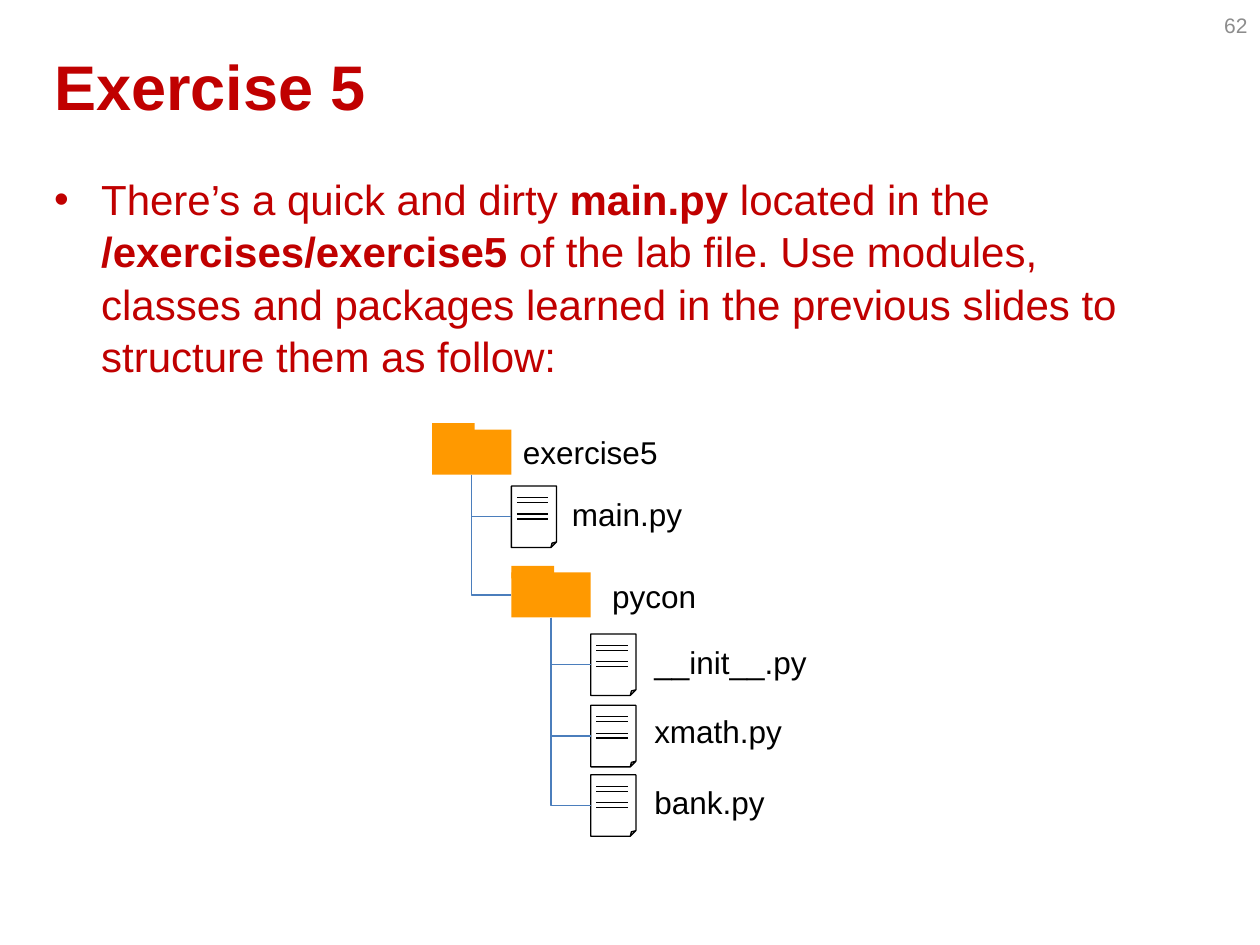
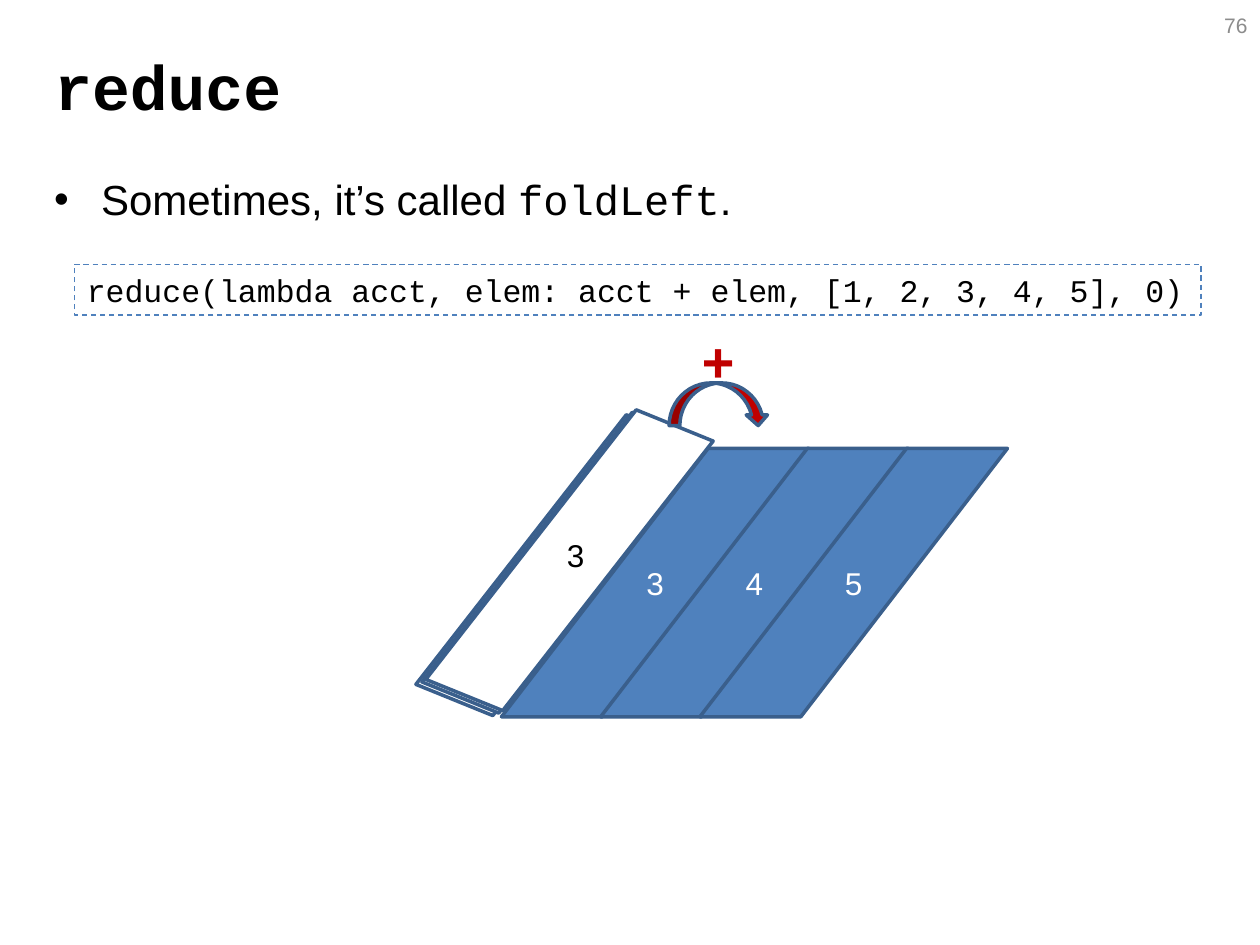
from dataclasses import dataclass
from typing import Optional

from lxml.etree import SubElement
from pptx import Presentation
from pptx.dml.color import RGBColor
from pptx.enum.dml import MSO_LINE_DASH_STYLE as Dash
from pptx.enum.shapes import MSO_CONNECTOR as Connector, MSO_SHAPE as Shape
from pptx.enum.text import MSO_ANCHOR as Anchor, PP_ALIGN as Align
from pptx.oxml.ns import qn
from pptx.util import Cm, Pt

RED = RGBColor(0xC0, 0x00, 0x00)
BLACK = RGBColor(0x00, 0x00, 0x00)
WHITE = RGBColor(0xFF, 0xFF, 0xFF)
GRAY = RGBColor(0x8C, 0x8C, 0x8C)
ORANGE = RGBColor(0xFF, 0x99, 0x00)
BLUE = RGBColor(0x4F, 0x81, 0xBD)
DARK_BLUE = RGBColor(0x3A, 0x5F, 0x8C)
TREE_BLUE = RGBColor(0x4B, 0x7E, 0xBC)
SANS = "Arial"
MONO = "Courier New"

FOLDER_WIDTH, FOLDER_HEIGHT, TAB_RISE = 1.6, 1.04, 0.13
FILE_WIDTH, FILE_HEIGHT = 0.91, 1.24
FILE_RULES = (0.23, 0.33, 0.56, 0.66)


@dataclass(frozen=True)
class Span:
    text: str
    font: str = SANS
    bold: bool = False


@dataclass(frozen=True)
class Entry:
    name: str
    left: float
    top: float
    label_left: float
    label_top: float
    parent: Optional["Entry"] = None
    is_folder: bool = False

    @property
    def middle(self) -> float:
        if self.is_folder:
            return self.top + (FOLDER_HEIGHT + TAB_RISE) / 2
        return self.top + FILE_HEIGHT / 2


@dataclass(frozen=True)
class TiltedCard:
    left: float
    top: float


EXERCISE = Entry("exercise5", 8.71, 8.53, 10.29, 8.61, is_folder=True)
PYCON = Entry("pycon", 10.31, 11.41, 12.09, 11.51, EXERCISE, True)
ENTRIES = (
    EXERCISE,
    Entry("main.py", 10.31, 9.8, 11.28, 9.86, EXERCISE),
    PYCON,
    Entry("__init__.py", 11.91, 12.78, 12.94, 12.83, PYCON),
    Entry("xmath.py", 11.91, 14.22, 12.94, 14.22, PYCON),
    Entry("bank.py", 11.91, 15.62, 12.94, 15.67, PYCON),
)
CARDS_BELOW = (TiltedCard(9.5, 8.08), TiltedCard(9.62, 8.03))
TOP_CARD = TiltedCard(9.7, 7.98)


def write_text(frame, *spans: Span, size=18, color=BLACK, align=Align.LEFT, anchor=Anchor.TOP):
    frame.word_wrap = True
    frame.vertical_anchor = anchor
    paragraph = frame.paragraphs[0]
    paragraph.alignment = align
    for span in spans:
        run = paragraph.add_run()
        run.text = span.text
        run.font.name = span.font
        run.font.bold = span.bold
        run.font.size = Pt(size)
        run.font.color.rgb = color
    return paragraph


def add_text(slide, left: float, top: float, width: float, height: float, *spans: Span, **style):
    box = slide.shapes.add_textbox(Cm(left), Cm(top), Cm(width), Cm(height))
    return write_text(box.text_frame, *spans, **style)


def add_bullet(slide, *spans: Span, color=BLACK) -> None:
    paragraph = add_text(slide, 0.84, 3.33, 22.86, 12.57, *spans, size=24, color=color)
    properties = paragraph._p.get_or_add_pPr()
    properties.set("marL", str(Cm(0.95)))
    properties.set("indent", str(-Cm(0.95)))
    SubElement(properties, qn("a:buFont")).set("typeface", SANS)
    SubElement(properties, qn("a:buChar")).set("char", "•")
    paragraph.line_spacing = 1.04


def set_adjustment(shape, value: float) -> None:
    adjustments = shape._element.spPr.find(qn("a:prstGeom")).find(qn("a:avLst"))
    for guide in list(adjustments):
        adjustments.remove(guide)
    guide = SubElement(adjustments, qn("a:gd"))
    guide.set("name", "adj")
    guide.set("fmla", f"val {round(value * 100000)}")


def add_shape(slide, kind, left: float, top: float, width: float, height: float,
              fill=None, line=None, weight=0.75, adjustment=None, rotation=0.0):
    shape = slide.shapes.add_shape(kind, Cm(left), Cm(top), Cm(width), Cm(height))
    shape.shadow.inherit = False
    shape.rotation = rotation
    if adjustment is not None:
        set_adjustment(shape, adjustment)
    if fill is None:
        shape.fill.background()
    else:
        shape.fill.solid()
        shape.fill.fore_color.rgb = fill
    if line is None:
        shape.line.fill.background()
    else:
        shape.line.color.rgb = line
        shape.line.width = Pt(weight)
    return shape


def add_line(slide, kind, left: float, top: float, right: float, bottom: float, color):
    connector = slide.shapes.add_connector(kind, Cm(left), Cm(top), Cm(right), Cm(bottom))
    connector.line.color.rgb = color
    connector.line.width = Pt(0.75)
    SubElement(connector._element.spPr, qn("a:effectLst"))
    return connector


def add_branch(slide, parent: Entry, child: Entry) -> None:
    start_x, start_y = parent.left + FOLDER_WIDTH / 2, parent.top + FOLDER_HEIGHT
    drop, run = child.middle - start_y, child.left - start_x
    center_x, center_y = start_x + run / 2, start_y + drop / 2
    connector = add_line(slide, Connector.ELBOW, center_x - drop / 2, center_y - run / 2,
                         center_x + drop / 2, center_y + run / 2, TREE_BLUE)
    properties = connector._element.spPr
    properties.find(qn("a:prstGeom")).set("prst", "bentConnector2")
    transform = properties.find(qn("a:xfrm"))
    transform.set("rot", "16200000")
    transform.set("flipH", "1")


def add_folder(slide, entry: Entry) -> None:
    add_shape(slide, Shape.RECTANGLE, entry.left, entry.top + TAB_RISE,
              FOLDER_WIDTH, FOLDER_HEIGHT - TAB_RISE, fill=ORANGE)
    add_shape(slide, Shape.RECTANGLE, entry.left, entry.top, 0.86, 0.25, fill=ORANGE)


def add_file(slide, entry: Entry) -> None:
    add_shape(slide, Shape.FOLDED_CORNER, entry.left, entry.top, FILE_WIDTH, FILE_HEIGHT,
              fill=WHITE, line=BLACK, adjustment=0.125)
    for offset in FILE_RULES:
        height = entry.top + offset
        add_line(slide, Connector.STRAIGHT, entry.left + 0.11, height,
                 entry.left + 0.74, height, BLACK)


def add_entry(slide, entry: Entry) -> None:
    if entry.is_folder:
        add_folder(slide, entry)
    else:
        add_file(slide, entry)
    if entry.parent:
        add_branch(slide, entry.parent, entry)
    add_text(slide, entry.label_left, entry.label_top, 4.5, 1.02, Span(entry.name))


def add_tilted_card(slide, card: TiltedCard) -> None:
    add_shape(slide, Shape.PARALLELOGRAM, card.left, card.top, 3.56, 6.63, fill=WHITE,
              line=DARK_BLUE, weight=2, adjustment=0.53, rotation=22.1)


def add_slide(presentation, title: str, number: int, font=SANS, color=BLACK):
    slide = presentation.slides.add_slide(presentation.slide_layouts[5])
    placeholder = slide.shapes.title
    placeholder.left, placeholder.top = Cm(0.84), Cm(0.13)
    placeholder.width, placeholder.height = Cm(22.86), Cm(3.18)
    write_text(placeholder.text_frame, Span(title, font, True), size=36, color=color,
               anchor=Anchor.MIDDLE)
    add_text(slide, 19.48, 0, 5.92, 1.02, Span(str(number)), size=12, color=GRAY,
             align=Align.RIGHT, anchor=Anchor.MIDDLE)
    return slide


def build_exercise(presentation) -> None:
    slide = add_slide(presentation, "Exercise 5", 62, color=RED)
    add_bullet(
        slide,
        Span("There’s a quick and dirty "),
        Span("main.py", bold=True),
        Span(" located in the "),
        Span("/exercises/exercise5", bold=True),
        Span(" of the lab file. Use modules, classes and packages learned in the "
             "previous slides to structure them as follow:"),
        color=RED,
    )
    for entry in ENTRIES:
        add_entry(slide, entry)


def build_reduce(presentation) -> None:
    slide = add_slide(presentation, "reduce", 76, font=MONO)
    code_box = add_shape(slide, Shape.RECTANGLE, 1.5, 5.33, 22.71, 1.02, line=BLUE)
    code_box.line.dash_style = Dash.DASH
    write_text(code_box.text_frame,
               Span("reduce(lambda acct, elem: acct + elem, [1, 2, 3, 4, 5], 0)", MONO))
    add_bullet(slide, Span("Sometimes, it’s called "), Span("foldLeft", MONO), Span("."))
    for card in CARDS_BELOW:
        add_tilted_card(slide, card)
    for index, value in enumerate((3, 4, 5)):
        element = add_shape(slide, Shape.PARALLELOGRAM, 10.11 + 2 * index, 9.04, 6.2, 5.41,
                            fill=BLUE, line=DARK_BLUE, weight=2, adjustment=0.77)
        write_text(element.text_frame, Span(str(value)), color=WHITE,
                   align=Align.CENTER, anchor=Anchor.MIDDLE)
    add_tilted_card(slide, TOP_CARD)
    add_text(slide, 11.18, 10.69, 0.95, 1.02, Span("3"))
    add_shape(slide, Shape.CURVED_DOWN_ARROW, 13.49, 7.72, 2.01, 0.86,
              fill=RED, line=DARK_BLUE, weight=2)
    add_text(slide, 13.89, 6.45, 1.25, 1.63, Span("+", MONO, True), size=32, color=RED)


def main() -> None:
    presentation = Presentation()
    presentation.slide_width, presentation.slide_height = Cm(25.4), Cm(19.05)
    build_exercise(presentation)
    build_reduce(presentation)
    presentation.save("out.pptx")


if __name__ == "__main__":
    main()
